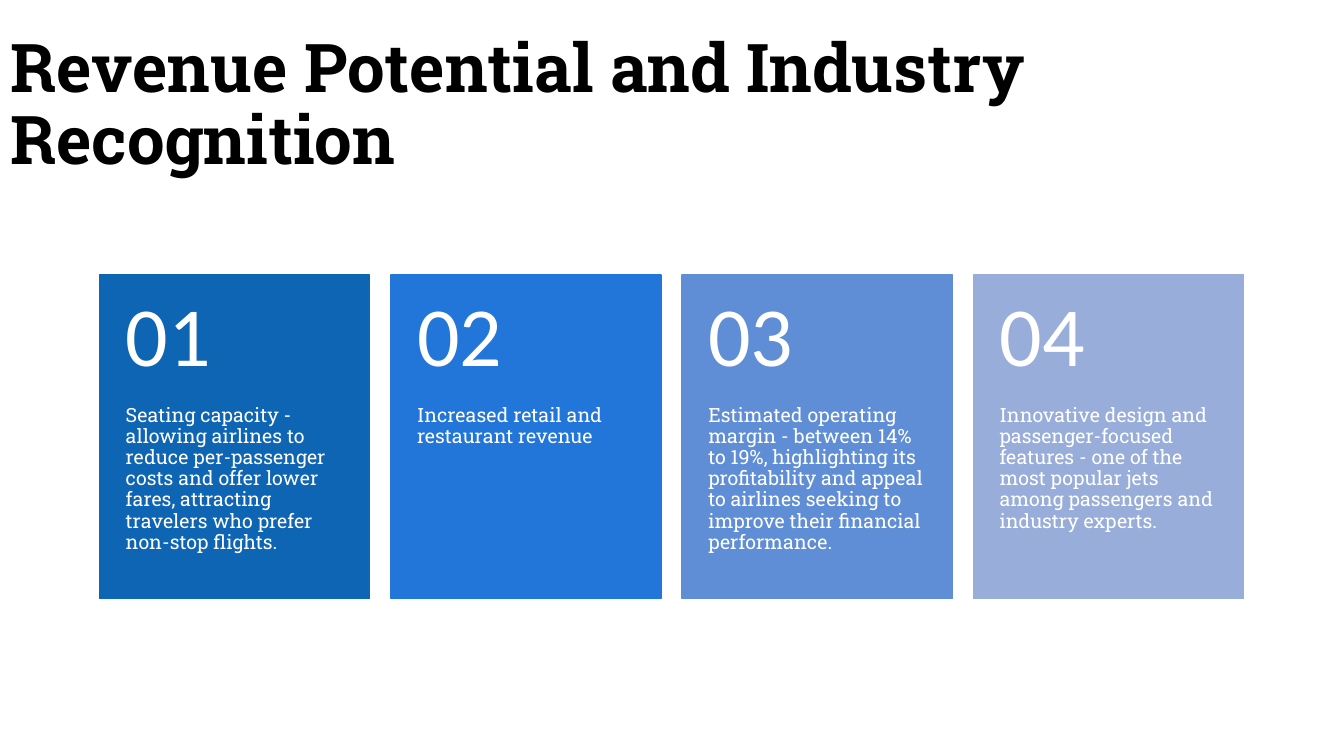
from dataclasses import dataclass

import pptx
import pptx.dml.color
import pptx.enum.shapes
import pptx.enum.text
import pptx.presentation
import pptx.shapes.shapetree
import pptx.slide
import pptx.text.text
import pptx.util

Cm = pptx.util.Cm
Anchor = pptx.enum.text.MSO_ANCHOR


@dataclass(frozen=True)
class Theme:
    title_color: str = "000000"
    card_text_color: str = "FFFFFF"
    slab_font: str = "Roboto Slab"
    number_font: str = "Calibri"
    title_size: int = 48
    number_size: int = 60
    body_size: int = 14
    line_spacing: float = 0.9


@dataclass(frozen=True)
class Card:
    fill: str
    text: str


@dataclass(frozen=True)
class CardPart:
    top: float
    height: float
    inset_top: float
    inset_bottom: float
    anchor: Anchor
    font: str
    size: int


THEME = Theme()
CARD_LEFT = 2.51
CARD_TOP = 6.93
CARD_WIDTH = 6.81
CARD_HEIGHT = 8.15
CARD_PITCH = 7.34
SIDE_INSET = 0.66

NUMBER = CardPart(CARD_TOP, 3.25, 0.46, 0.46, Anchor.MIDDLE,
                  THEME.number_font, THEME.number_size)
BODY = CardPart(10.21, 4.9, 0, 0.91, Anchor.TOP,
                THEME.slab_font, THEME.body_size)

CARDS = [
    Card("0E65B4", "Seating capacity - allowing airlines to reduce per-passenger costs "
                   "and offer lower fares, attracting travelers who prefer non-stop flights."),
    Card("2276D9", "Increased retail and restaurant revenue"),
    Card("608ED6", "Estimated operating margin - between 14% to 19%, highlighting its "
                   "profitability and appeal to airlines seeking to improve their "
                   "financial performance."),
    Card("98ADD9", "Innovative design and passenger-focused features - one of the most "
                   "popular jets among passengers and industry experts."),
]


def rgb(value: str) -> pptx.dml.color.RGBColor:
    return pptx.dml.color.RGBColor.from_string(value)


def write(frame: pptx.text.text.TextFrame, text: str, font: str, size: int,
          color: str, anchor: Anchor, bold: bool = False) -> None:
    frame.text = text
    frame.word_wrap = True
    frame.auto_size = pptx.enum.text.MSO_AUTO_SIZE.NONE
    frame.vertical_anchor = anchor
    paragraph = frame.paragraphs[0]
    paragraph.alignment = pptx.enum.text.PP_ALIGN.LEFT
    paragraph.line_spacing = THEME.line_spacing
    paragraph.font.name = font
    paragraph.font.size = pptx.util.Pt(size)
    paragraph.font.bold = bold
    paragraph.font.color.rgb = rgb(color)


def add_title(slide: pptx.slide.Slide, text: str) -> None:
    title = slide.shapes.title
    title.left, title.top = Cm(0), Cm(0.53)
    title.width, title.height = Cm(32.05), Cm(4.32)
    write(title.text_frame, text, THEME.slab_font, THEME.title_size,
          THEME.title_color, Anchor.MIDDLE, bold=True)


def add_part(shapes: pptx.shapes.shapetree.GroupShapes, part: CardPart,
             left: float, text: str) -> None:
    box = shapes.add_textbox(Cm(left), Cm(part.top), Cm(CARD_WIDTH), Cm(part.height))
    frame = box.text_frame
    frame.margin_left = frame.margin_right = Cm(SIDE_INSET)
    frame.margin_top = Cm(part.inset_top)
    frame.margin_bottom = Cm(part.inset_bottom)
    write(frame, text, part.font, part.size, THEME.card_text_color, part.anchor)


def add_card(shapes: pptx.shapes.shapetree.GroupShapes, index: int, card: Card) -> None:
    left = CARD_LEFT + index * CARD_PITCH
    panel = shapes.add_shape(pptx.enum.shapes.MSO_SHAPE.RECTANGLE,
                             Cm(left), Cm(CARD_TOP), Cm(CARD_WIDTH), Cm(CARD_HEIGHT))
    panel.shadow.inherit = False
    panel.fill.solid()
    panel.fill.fore_color.rgb = rgb(card.fill)
    panel.line.color.rgb = rgb(card.fill)
    panel.line.width = pptx.util.Pt(1)
    add_part(shapes, BODY, left, card.text)
    add_part(shapes, NUMBER, left, f"{index + 1:02}")


def main() -> None:
    presentation = pptx.Presentation()
    presentation.slide_width = Cm(33.87)
    presentation.slide_height = Cm(19.05)
    slide = presentation.slides.add_slide(presentation.slide_layouts.get_by_name("Title Only"))
    add_title(slide, "Revenue Potential and Industry Recognition")
    card_row = slide.shapes.add_group_shape()
    for index, card in enumerate(CARDS):
        add_card(card_row.shapes, index, card)
    presentation.save("out.pptx")


if __name__ == "__main__":
    main()
